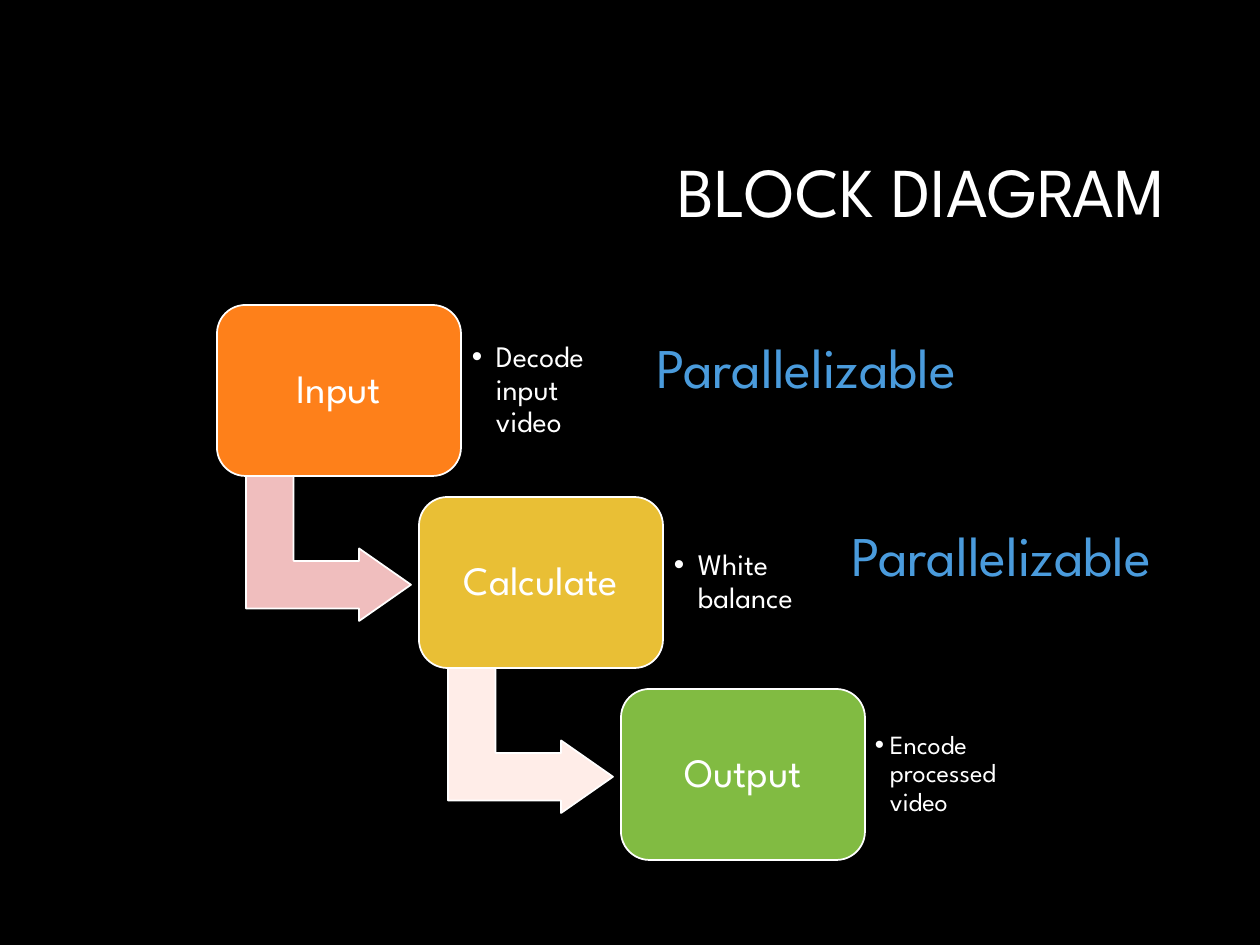
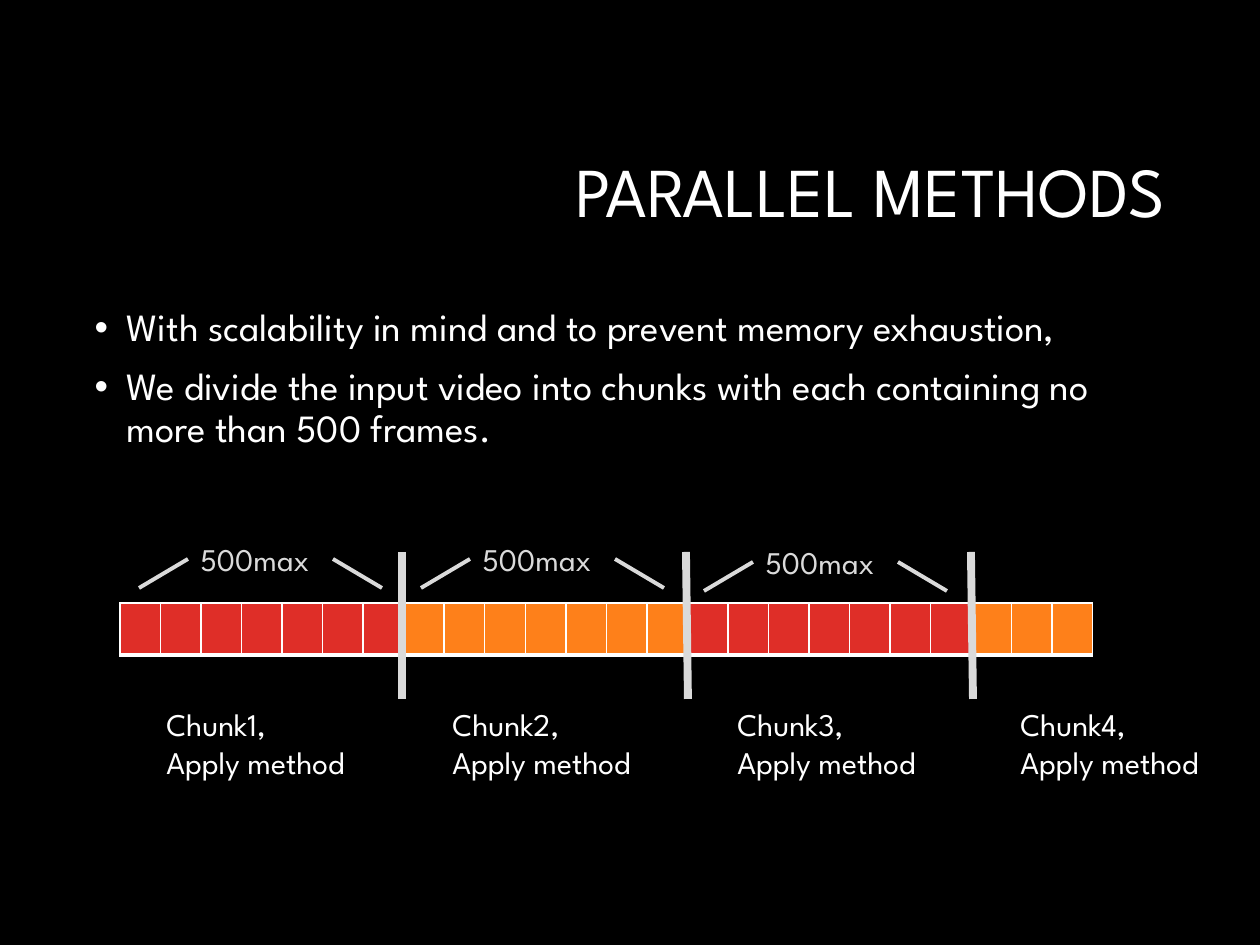
"""Build two slides: a video pipeline block diagram and its split into parallel chunks."""
import pptx
import pptx.util
import pptx.dml.color
import pptx.enum.shapes
import pptx.enum.text
import pptx.oxml.ns
import lxml.etree

PX = 7257
FONT = "League Spartan"
COLORS = {
    "black": "000000", "white": "FFFFFF", "gray": "DADADA", "blue": "4A9BDC",
    "red": "DF2E28", "orange": "FE801A", "yellow": "E9BF35", "green": "81BB42",
    "pink": "F0BEBE", "blush": "FFEDE8",
}
RGB = {name: pptx.dml.color.RGBColor.from_string(c) for name, c in COLORS.items()}
SHAPE = pptx.enum.shapes.MSO_SHAPE
ALIGN = pptx.enum.text.PP_ALIGN
MIDDLE = pptx.enum.text.MSO_ANCHOR.MIDDLE
NO_FIT = pptx.enum.text.MSO_AUTO_SIZE.NONE
qn = pptx.oxml.ns.qn


def write(p, text, size, color="white", indent=0):
    """Add text to a paragraph, with a bullet when an indent in px is given."""
    if indent:
        pPr = p._p.get_or_add_pPr()
        pPr.set("marL", str(indent * PX))
        pPr.set("indent", str(-indent * PX))
        lxml.etree.SubElement(pPr, qn("a:buFont")).set("typeface", "Arial")
        lxml.etree.SubElement(pPr, qn("a:buChar")).set("char", "•")
    for i, part in enumerate(text.split("\n")):
        if i:
            p.add_line_break()
        r = p.add_run()
        r.text = part
        r.font.name = FONT
        r.font.size = pptx.util.Pt(size)
        r.font.color.rgb = RGB[color]


def draw_line(s, ends, width):
    """Draw a gray straight line between two points in px."""
    kind = pptx.enum.shapes.MSO_CONNECTOR.STRAIGHT
    sp = s.shapes.add_connector(kind, *[v * PX for v in ends])
    sp.line.color.rgb = RGB["gray"]
    sp.line.width = pptx.util.Pt(width)
    lxml.etree.SubElement(sp._element.spPr, qn("a:effectLst"))


prs = pptx.Presentation()
prs.slide_width = 1260 * PX
prs.slide_height = 945 * PX
background = prs.slide_master.background.fill
background.solid()
background.fore_color.rgb = RGB["black"]

slides = []
for layout, title in [(5, "BLOCK DIAGRAM"), (1, "PARALLEL METHODS")]:
    s = prs.slides.add_slide(prs.slide_layouts[layout])
    sp = s.shapes.title
    sp.left, sp.top, sp.width, sp.height = [v * PX for v in (300, 106, 878, 178)]
    tf = sp.text_frame
    tf.auto_size = NO_FIT
    tf.vertical_anchor = MIDDLE
    p = tf.paragraphs[0]
    p.alignment = ALIGN.RIGHT
    p.line_spacing = 0.9
    write(p, title, 40)
    slides.append(s)
diagram, methods = slides

stages = [
    ("Input", "orange", "Decode input video", 17, 24, 11, "pink"),
    ("Calculate", "yellow", "White balance", 17, 24, 11, "blush"),
    ("Output", "green", "Encode processed video", 15, 15, 10, None),
]
for i, (name, color, detail, size, indent, inset, arrow) in enumerate(stages):
    dx, dy = 202 * i, 192 * i
    parts = [(SHAPE.ROUNDED_RECTANGLE, (217, 305, 244, 171), color, [0.167], 0)]
    if arrow:
        parts.insert(0, (SHAPE.BENT_UP_ARROW, (256, 466, 145, 165), arrow,
                         [0.328, 0.25, 0.358], 90))
    for kind, (x, y, w, h), fill, adjustments, rotation in parts:
        sp = diagram.shapes.add_shape(kind, (x + dx) * PX, (y + dy) * PX, w * PX, h * PX)
        for k, value in enumerate(adjustments):
            sp.adjustments[k] = value
        sp.rotation = rotation
        sp.shadow.inherit = False
        sp.fill.solid()
        sp.fill.fore_color.rgb = RGB[fill]
        sp.line.color.rgb = RGB["white"]
        sp.line.width = pptx.util.Pt(1)
    tf = sp.text_frame
    tf.vertical_anchor = MIDDLE
    p = tf.paragraphs[0]
    p.alignment = ALIGN.CENTER
    p.line_spacing = 0.9
    write(p, name, 23)

    sp = diagram.shapes.add_textbox((461 + dx) * PX, (321 + dy) * PX, 178 * PX, 139 * PX)
    tf = sp.text_frame
    tf.word_wrap = True
    tf.vertical_anchor = MIDDLE
    tf.margin_left = tf.margin_right = tf.margin_top = tf.margin_bottom = inset * PX
    p = tf.paragraphs[0]
    p.line_spacing = 0.9
    write(p, detail, size, indent=indent)

sp = methods.placeholders[1]
sp.left, sp.top, sp.width, sp.height = [v * PX for v in (82, 302, 1096, 222)]
tf = sp.text_frame
tf.auto_size = NO_FIT
points = [
    "With scalability in mind and to prevent memory exhaustion,",
    "We divide the input video into chunks with each containing no more than 500 frames.",
]
for i, point in enumerate(points):
    p = tf.add_paragraph() if i else tf.paragraphs[0]
    p.line_spacing = 0.9
    p.space_before = pptx.util.Pt(10 if i else 0)
    write(p, point, 22, indent=32)

frames, chunk_size = 24, 7
table = methods.shapes.add_table(1, frames, 120 * PX, 603 * PX, 973 * PX, 52 * PX).table
for i, column in enumerate(table.columns):
    column.width = 973 * PX // frames
    cell = table.cell(0, i)
    cell.margin_left = cell.margin_right = cell.margin_top = cell.margin_bottom = 0
    tcPr = cell._tc.get_or_add_tcPr()
    for side, width in [("L", 1), ("R", 1), ("T", 1), ("B", 3)]:
        ln = lxml.etree.SubElement(tcPr, qn(f"a:ln{side}"), w=str(pptx.util.Pt(width)))
        fill = lxml.etree.SubElement(ln, qn("a:solidFill"))
        lxml.etree.SubElement(fill, qn("a:srgbClr"), val=COLORS["white"])
    cell.fill.solid()
    cell.fill.fore_color.rgb = RGB[("red", "orange")[i // chunk_size % 2]]

for top_x, bottom_x in [(402, 402), (686, 688), (971, 973)]:
    draw_line(methods, (top_x, 552, bottom_x, 699), 4.5)

labels = [
    (diagram, (644, 326, 391, 81), "Parallelizable", 32, "blue"),
    (diagram, (839, 514, 391, 81), "Parallelizable", 32, "blue"),
]
for i, x in enumerate((154, 440, 725, 1008), 1):
    labels.append((methods, (x, 699, 248, 89), f"Chunk{i},\nApply method", 18, "white"))
for x, y in [(188, 534), (470, 534), (753, 537)]:
    labels.append((methods, (x, y, 145, 50), "500max", 18, "gray"))
    draw_line(methods, (x - 49, y + 54, x, y + 25), 2.25)
    draw_line(methods, (x + 194, y + 54, x + 145, y + 25), 2.25)
for s, frame, text, size, color in labels:
    sp = s.shapes.add_textbox(*[v * PX for v in frame])
    tf = sp.text_frame
    tf.word_wrap = True
    write(tf.paragraphs[0], text, size, color)

prs.save("out.pptx")
